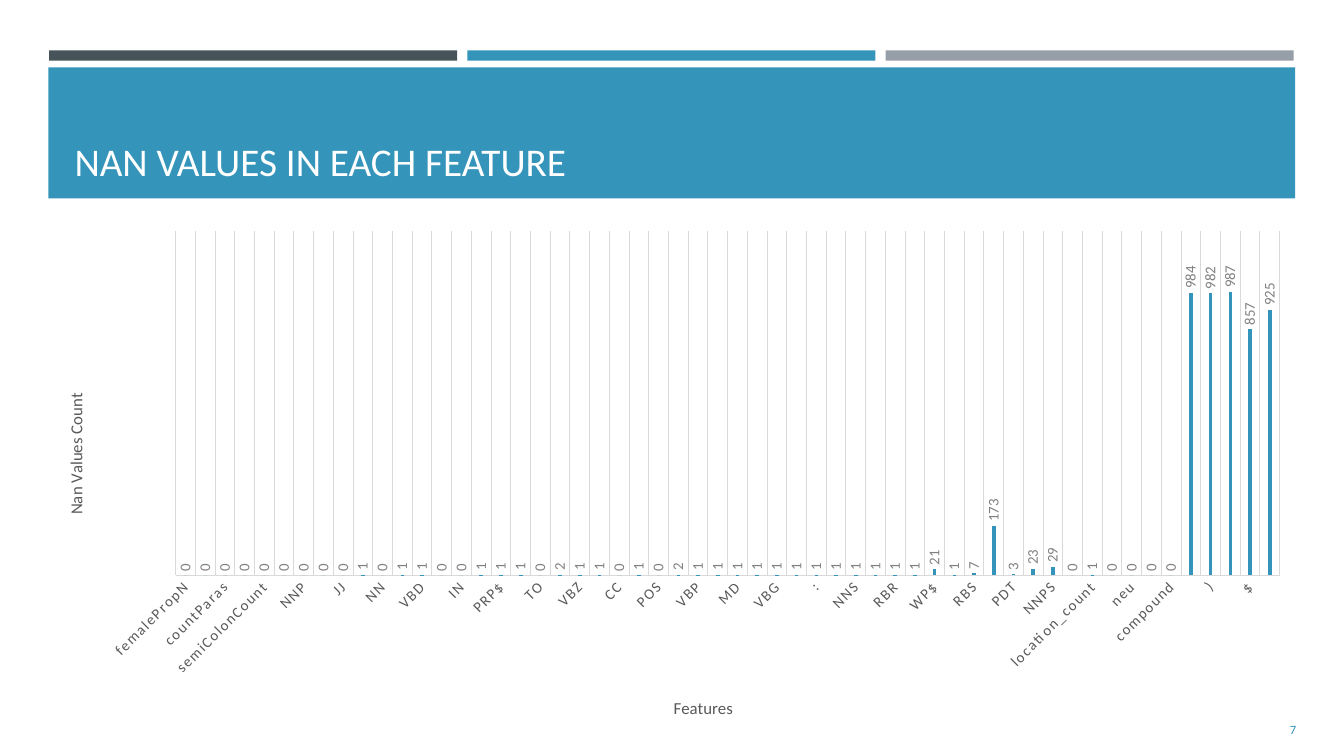
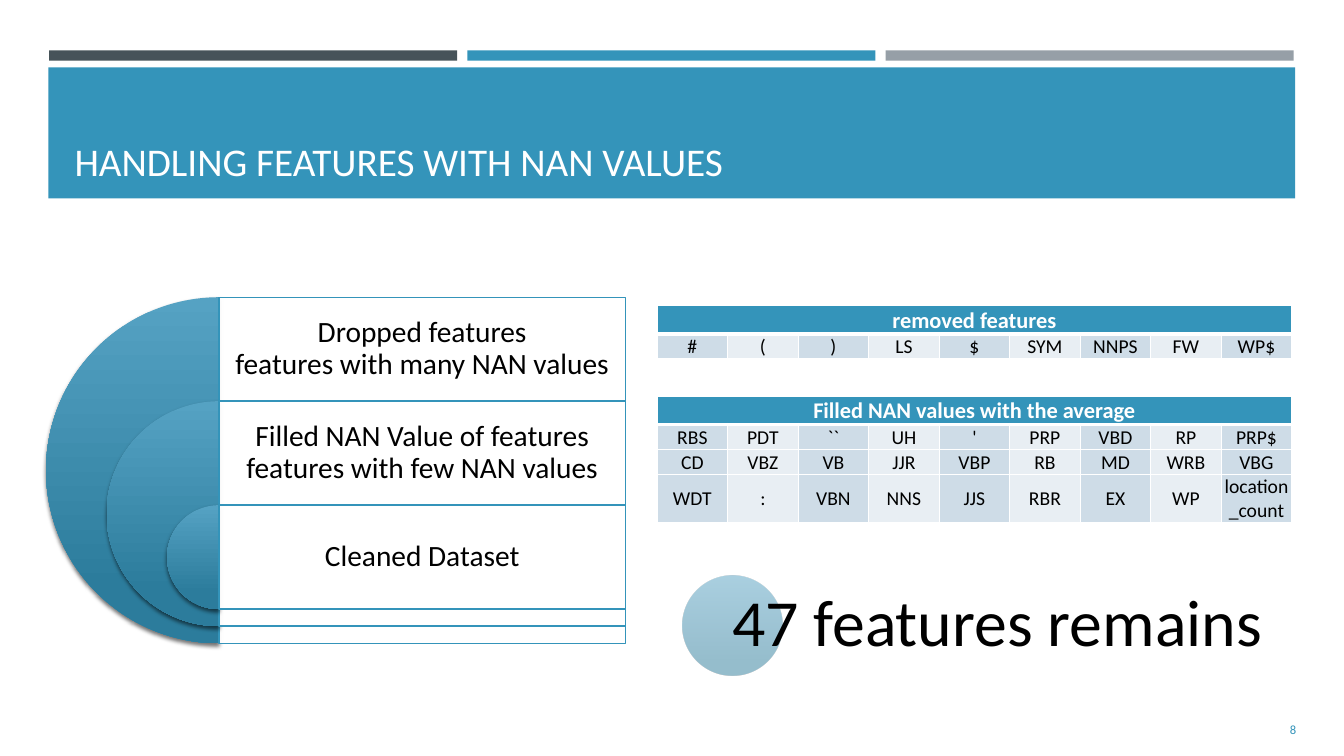
from dataclasses import dataclass
from lxml.etree import SubElement as Sub
from pptx import Presentation
from pptx.chart.data import CategoryChartData as ChartData
from pptx.dml.color import RGBColor as RGB
from pptx.enum.chart import XL_CHART_TYPE as Kind, XL_LABEL_POSITION as Spot
from pptx.enum.chart import XL_TICK_MARK as Tick
from pptx.enum.shapes import MSO_SHAPE as Form
from pptx.enum.text import MSO_ANCHOR as Anchor, PP_ALIGN as Align
from pptx.oxml import parse_xml
from pptx.oxml.ns import nsdecls, qn
from pptx.util import Cm, Pt


@dataclass(frozen=True)
class Theme:
    font: str = "Calibri"
    blue: str = "3494BA"
    dark: str = "465359"
    grey: str = "969FA7"
    light: str = "55A2C3"
    deep: str = "2C7C9C"
    white: str = "FFFFFF"
    black: str = "000000"
    odd: str = "CEDCE7"
    even: str = "E8EEF3"
    rule: str = "D9D9D9"
    label: str = "595959"
    value: str = "808080"
    title: float = 28
    card: float = 21
    big: float = 47
    head: float = 16
    cell: float = 14
    axis: float = 12
    tick: float = 10.6
    base: float = 10
    page: float = 9


def fade(shape, part):
    """Make the fill of a shape opaque to the given percentage."""
    for kind in ("a:solidFill", "a:gradFill"):
        for fill in shape._element.spPr.findall(qn(kind)):
            for tone in fill.iter(qn("a:srgbClr")):
                Sub(tone, qn("a:alpha"), val=str(part * 1000))


def turn(node, angle):
    body = next(node.iter(qn("a:bodyPr")))
    body.set("rot", str(angle * 60000))
    body.set("vert", "horz")


def place(node, **sides):
    """Fix the place of a chart part, as fractions of the chart."""
    old = node.find(qn("c:layout"))
    if old is not None:
        node.remove(old)
    modes = {"xMode": "edge", "yMode": "edge"}
    if "w" in sides:
        modes = {"layoutTarget": "inner", **modes}
    marks = "".join(f'<c:{k} val="{v}"/>' for k, v in {**modes, **sides}.items())
    new = parse_xml(f'<c:layout {nsdecls("c")}><c:manualLayout>{marks}'
                    "</c:manualLayout></c:layout>")
    text = node.find(qn("c:tx"))
    if text is None:
        node.insert(0, new)
    else:
        text.addnext(new)


class Deck:
    def __init__(self, theme):
        self.look = theme
        self.show = Presentation()
        self.show.slide_width, self.show.slide_height = Cm(33.87), Cm(19.05)
        self.slide = None

    def page(self, title, number):
        """Start a slide with its bars, title band and number."""
        look = self.look
        self.slide = self.show.slides.add_slide(self.show.slide_layouts[6])
        for i, tone in enumerate((look.dark, look.blue, look.grey)):
            self.shape(Form.RECTANGLE, 1.24 + 10.54 * i, 1.27, 10.28, 0.26, tone)
        self.shape(Form.RECTANGLE, 1.22, 1.7, 31.42, 3.3, look.blue)
        self.text([title], 1.63, 1.96, 30.63, 2.82, look.title, look.white,
                  anchor=Anchor.BOTTOM)
        self.text([str(number)], 30, 17.86, 2.92, 1.02, look.page, look.blue,
                  Align.RIGHT)

    def shape(self, form, x, y, w, h, fill=None, line=None):
        """Draw a preset shape; without a fill colour it is shaded."""
        item = self.slide.shapes.add_shape(form, Cm(x), Cm(y), Cm(w), Cm(h))
        item.shadow.inherit = False
        if fill:
            item.fill.solid()
            item.fill.fore_color.rgb = RGB.from_string(fill)
        else:
            item.fill.gradient()
            item.fill.gradient_angle = 270
            stops = zip(item.fill.gradient_stops, (0, 0.84),
                        (self.look.light, self.look.deep))
            for stop, spot, tone in stops:
                stop.position = spot
                stop.color.rgb = RGB.from_string(tone)
        if line:
            item.line.color.rgb = RGB.from_string(line)
            item.line.width = Pt(1)
        else:
            item.line.fill.background()
        return item

    def half(self, x, y, size):
        """Draw a shaded left half disc with a soft shadow."""
        disc = self.shape(Form.PIE, x, y, size, size)
        disc.adjustments[0], disc.adjustments[1] = 54, 162
        glow = disc._element.spPr.find(qn("a:effectLst"))
        cast = Sub(glow, qn("a:outerShdw"), blurRad=str(Pt(3)), dist=str(Pt(2)),
                   dir="5400000", rotWithShape="0")
        tone = Sub(cast, qn("a:srgbClr"), val=self.look.black)
        Sub(tone, qn("a:alpha"), val="55000")

    def style(self, font, size, tone, bold=False):
        font.name, font.size, font.bold = self.look.font, Pt(size), bold
        font.color.rgb = RGB.from_string(tone)

    def put(self, para, lines, size, tone, align, bold=False):
        """Add lines to a paragraph, one run each."""
        para.alignment = align
        for i, line in enumerate(lines):
            if i:
                para.add_line_break()
            run = para.add_run()
            run.text = line
            self.style(run.font, size, tone, bold)

    def text(self, lines, x, y, w, h, size, tone, align=Align.LEFT,
             anchor=Anchor.MIDDLE, pad=0.25, space=None):
        box = self.slide.shapes.add_textbox(Cm(x), Cm(y), Cm(w), Cm(h))
        frame = box.text_frame
        frame.word_wrap = True
        frame.vertical_anchor = anchor
        frame.margin_left = frame.margin_right = Cm(pad)
        para = frame.paragraphs[0]
        if space:
            para.line_spacing = space
        self.put(para, lines, size, tone, align)

    def edge(self, cell, foot):
        """Give a cell white borders, the lower one of its own width."""
        for side, width in zip("LRTB", (1, 1, 1, foot)):
            line = Sub(cell._tc.get_or_add_tcPr(), qn(f"a:ln{side}"),
                       w=str(Pt(width)))
            Sub(Sub(line, qn("a:solidFill")), qn("a:srgbClr"), val=self.look.white)

    def table(self, head, rows, x, y, w, highs):
        look, cols = self.look, len(rows[0])
        grid = self.slide.shapes.add_table(len(rows) + 1, cols, Cm(x), Cm(y),
                                           Cm(w), Cm(sum(highs))).table
        grid.horz_banding = False
        for row, high in zip(grid.rows, highs):
            row.height = Cm(high)
        for col in grid.columns:
            col.width = Cm(w / cols)
        grid.cell(0, 0).merge(grid.cell(0, cols - 1))
        for r, words in enumerate([[head] + [""] * (cols - 1)] + rows):
            for c, word in enumerate(words):
                cell = grid.cell(r, c)
                top = r == 0
                self.edge(cell, 3 if top else 1)
                fill = look.blue if top else (look.odd, look.even)[c % 2]
                cell.fill.solid()
                cell.fill.fore_color.rgb = RGB.from_string(fill)
                cell.margin_left = cell.margin_right = cell.margin_top = Cm(0.03)
                cell.margin_bottom = 0
                cell.vertical_anchor = Anchor.BOTTOM if top else Anchor.MIDDLE
                if word:
                    self.put(cell.text_frame.paragraphs[0], [word],
                             look.head if top else look.cell,
                             look.white if top else look.black,
                             Align.CENTER, top)

    def name(self, axis, word, x, y):
        """Set the title of an axis."""
        axis.has_title = True
        self.put(axis.axis_title.text_frame.paragraphs[0], [word],
                 self.look.axis, self.look.label, Align.CENTER)
        place(axis.axis_title._element, x=x, y=y)

    def chart(self, cats, vals, x, y, w, h):
        look = self.look
        data = ChartData()
        data.categories = cats
        data.add_series("Series 1", vals)
        chart = self.slide.shapes.add_chart(Kind.COLUMN_CLUSTERED, Cm(x), Cm(y),
                                            Cm(w), Cm(h), data).chart
        chart.has_legend = chart.has_title = False
        self.style(chart.font, look.base, look.black)
        place(chart._chartSpace.chart.plotArea, x=0.11, y=0.02, w=0.87, h=0.67)

        # Columns and their labels
        plot = chart.plots[0]
        plot.vary_by_categories = False
        plot.gap_width, plot.overlap = 444, -90
        fill = plot.series[0].format.fill
        fill.solid()
        fill.fore_color.rgb = RGB.from_string(look.blue)
        plot.has_data_labels = True
        marks = plot.data_labels
        marks.show_value, marks.position = True, Spot.OUTSIDE_END
        self.style(marks.font, look.tick, look.value)
        turn(marks._element, -90)

        # Axes
        base, side = chart.category_axis, chart.value_axis
        base.major_tick_mark = base.minor_tick_mark = Tick.NONE
        base.has_major_gridlines = True
        for part in (base, base.major_gridlines):
            part.format.line.color.rgb = RGB.from_string(look.rule)
            part.format.line.width = Pt(0.75)
        self.style(base.tick_labels.font, look.tick, look.label)
        words = base._element.find(qn("c:txPr"))
        turn(words, -45)
        next(words.iter(qn("a:defRPr"))).set("spc", "120")
        skip = parse_xml(f'<c:tickLblSkip {nsdecls("c")} val="2"/>')
        base._element.find(qn("c:noMultiLvlLbl")).addprevious(skip)
        side.minimum_scale, side.maximum_scale = 0, 1200
        side.has_major_gridlines = side.visible = False
        self.name(base, "Features", 0.5, 0.92)
        self.name(side, "Nan Values Count", 0.02, 0.33)
        turn(side.axis_title._element, -90)


CATS = (
    "femalePropN malePropN countParas avgSentsLength semiColonCount DT NNP . JJ ' "
    "NN PRP VBD , IN RP PRP$ CD TO `` VBZ VB CC JJR POS UH VBP RB MD WRB VBG WDT : "
    "VBN NNS JJS RBR EX WP$ WP RBS SYM PDT FW NNPS persons_count location_count "
    "neg neu pos compound ( ) # $ LS").split()
VALS = [0, 0, 0, 0, 0, 0, 0, 0, 0, 1, 0, 1, 1, 0, 0, 1, 1, 1, 0, 2, 1, 1, 0, 1, 0, 2,
        1, 1, 1, 1, 1, 1, 1, 1, 1, 1, 1, 1, 21, 1, 7, 173, 3, 23, 29, 0, 1, 0, 0, 0,
        0, 984, 982, 987, 857, 925]
CARDS = [["Dropped features", "features with many NAN values"],
         ["Filled NAN Value of features", "features with few NAN values"],
         ["Cleaned Dataset"]]
GONE = ["# ( ) LS $ SYM NNPS FW WP$".split()]
KEPT = [row.split() for row in (
    "RBS PDT `` UH ' PRP VBD RP PRP$",
    "CD VBZ VB JJR VBP RB MD WRB VBG",
    "WDT : VBN NNS JJS RBR EX WP location_count")]


def main():
    look = Theme()
    deck = Deck(look)

    # Chart slide
    deck.page("NAN VALUES IN EACH FEATURE", 7)
    deck.chart(CATS, VALS, 0.91, 5.56, 31.98, 12.95)

    # Nested half discs with cards
    deck.page("HANDLING FEATURES WITH NAN VALUES", 8)
    mid, wide, step = 5.52, 10.24, 2.62
    for i, lines in enumerate(CARDS):
        top, size = 7.49 + step * i, 8.72 - 3.05 * i
        deck.half(mid - size / 2, top, size)
        card = deck.shape(Form.RECTANGLE, mid, top, wide, size, look.white, look.blue)
        fade(card, 90)
        deck.text(lines, mid, top, wide, step, look.card, look.black,
                  Align.CENTER, space=0.9)

    # Feature tables
    deck.table("removed features", GONE, 16.56, 7.7, 16, [0.72, 0.6])
    deck.table("Filled NAN values with the average", KEPT, 16.56, 9.98, 16,
               [0.72, 0.6, 0.6, 1.22])

    # Result
    disc = deck.shape(Form.OVAL, 17.2, 14.5, 2.52, 2.52)
    fade(disc, 50)
    deck.text(["47 features remains"], 18.46, 14.5, 13.7, 2.52, look.big, look.black,
              pad=0, space=0.9)
    deck.show.save("out.pptx")


if __name__ == "__main__":
    main()
